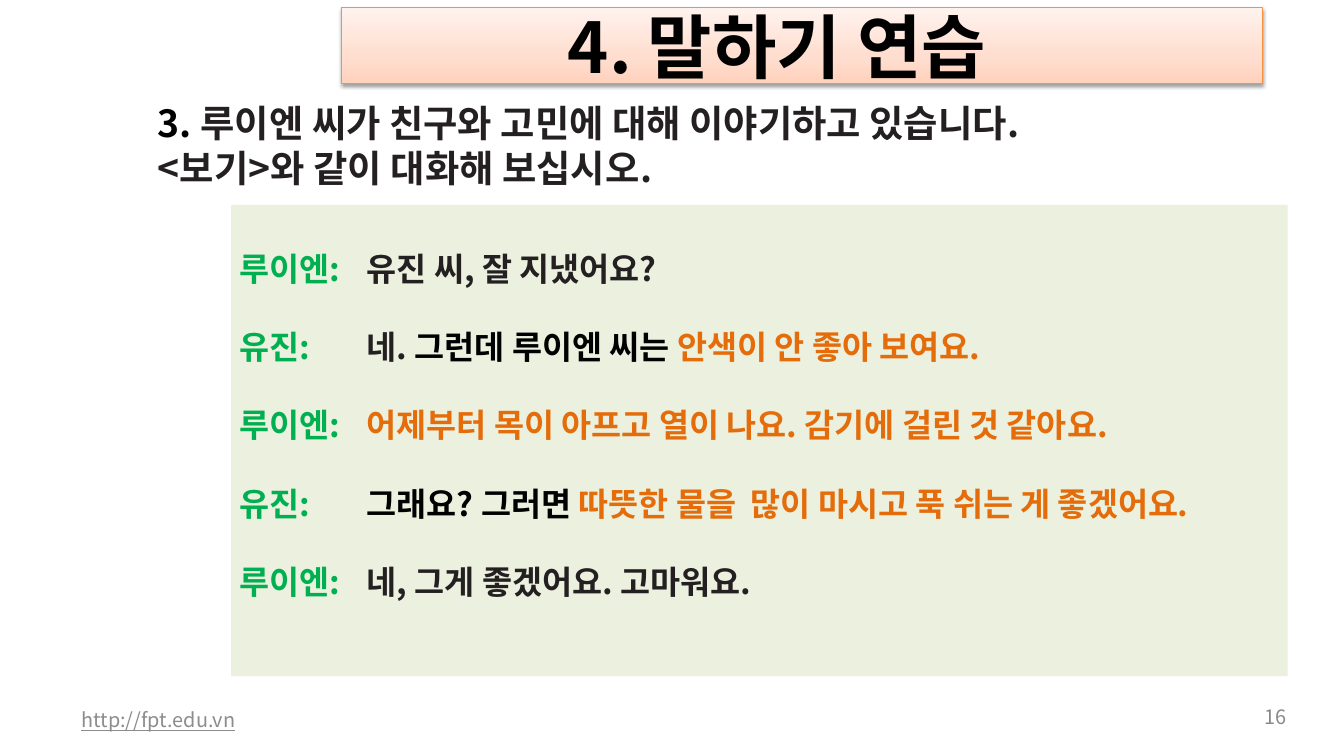
import copy
import pptx
import pptx.util
import pptx.dml.color
import pptx.enum.shapes
import pptx.enum.text
import pptx.oxml
import pptx.oxml.ns
from pptx.util import Inches

FONT = "Noto Sans CJK KR"
COLORS = {"black": "000000", "ink": "242021", "green": "00B050", "orange": "E46C0A",
          "panel": "EBF1DE", "link": "8C8C8C", "number": "898989", "border": "F69240"}
TITLE = "4. 말하기 연습"
TITLE_STOPS = [(0, "FFD2BD"), (0.35, "FFDED0"), (1, "FFF2ED")]
TASK = [
    [("3. ", "black"), ("루이엔 씨가 친구와 고민에 대해 이야기하고 있습니다.", "ink")],
    [("<보기>와 같이 대화해 보십시오.", "ink")],
]
DIALOGUE = [
    ("루이엔:", [("유진 씨, 잘 지냈어요?", "ink")]),
    ("유진:", [("네. ", "ink"), ("그런데 루이엔 씨는 ", "black"), ("안색이 안 좋아 보여요.", "orange")]),
    ("루이엔:", [("어제부터 목이 아프고 열이 나요. 감기에 걸린 것 같아요.", "orange")]),
    ("유진:", [("그래요? 그러면 ", "black"), ("따뜻한 물을  많이 마시고 푹 쉬는 게 좋겠어요.", "orange")]),
    ("루이엔:", [("네, 그게 좋겠어요. 고마워요.", "ink")]),
]
SPEECH_INDENT = 1.52
ALIGN = pptx.enum.text.PP_ALIGN
ANCHOR = pptx.enum.text.MSO_ANCHOR


def rgb(value):
    return pptx.dml.color.RGBColor.from_string(value)


def write(s, lines, size, bold=True, underline=False, align=ALIGN.LEFT, anchor=ANCHOR.TOP,
          insets=(0.1, 0.05, 0.1, 0.05), spacing=None, tab=None):
    tf = s.text_frame
    tf.word_wrap = True
    tf.vertical_anchor = anchor
    tf.margin_left, tf.margin_top, tf.margin_right, tf.margin_bottom = map(Inches, insets)
    for i, line in enumerate(lines):
        p = tf.add_paragraph() if i else tf.paragraphs[0]
        p.alignment = align
        if spacing:
            p.line_spacing = spacing
        if tab:
            stops = pptx.oxml.ns.qn("a:tabLst")
            stop = p._p.get_or_add_pPr().makeelement(stops, {})
            p._p.pPr.append(stop)
            stop.append(stop.makeelement(pptx.oxml.ns.qn("a:tab"),
                                         {"pos": str(int(Inches(tab))), "algn": "l"}))
        for text, color in line:
            r = p.add_run()
            r.text = text
            r.font.name = FONT
            r.font.size = pptx.util.Pt(size)
            r.font.bold = bold
            r.font.underline = underline
            r.font.color.rgb = rgb(COLORS[color])
            latin = r._r.rPr.find(pptx.oxml.ns.qn("a:latin"))
            latin.addnext(latin.makeelement(pptx.oxml.ns.qn("a:ea"), {"typeface": FONT}))


def add_box(slide, *at):
    return slide.shapes.add_textbox(*map(Inches, at))


def add_rect(slide, *at):
    s = slide.shapes.add_shape(pptx.enum.shapes.MSO_SHAPE.RECTANGLE, *map(Inches, at))
    s.shadow.inherit = False
    return s


def style_banner(s):
    s.fill.gradient()
    s.fill.gradient_angle = 90
    stops = s.fill._xPr.find(pptx.oxml.ns.qn("a:gradFill")).gsLst
    stops.append(copy.deepcopy(stops[-1]))
    for stop, (position, color) in zip(s.fill.gradient_stops, TITLE_STOPS):
        stop.position = position
        stop.color.rgb = rgb(color)
    s.line.color.rgb = rgb(COLORS["border"])
    s.line.width = pptx.util.Pt(0.75)
    effects = s._element.spPr.find(pptx.oxml.ns.qn("a:effectLst"))
    effects.append(pptx.oxml.parse_xml(
        f'<a:outerShdw {pptx.oxml.ns.nsdecls("a")} blurRad="40000" dist="20000" dir="5400000" '
        'rotWithShape="0"><a:srgbClr val="000000"><a:alpha val="38000"/></a:srgbClr></a:outerShdw>'))


def main():
    prs = pptx.Presentation()
    prs.slide_width, prs.slide_height = Inches(16), Inches(9)
    slide = prs.slides.add_slide(prs.slide_layouts[6])

    footer = dict(size=17, bold=False, anchor=ANCHOR.MIDDLE, insets=(0.14, 0.07, 0.14, 0.07))
    write(add_box(slide, 0.83, 8.33, 6.19, 0.48), [[("http://fpt.edu.vn", "link")]],
          underline=True, **footer)
    write(add_box(slide, 14.5, 8.33, 0.96, 0.41), [[("16", "number")]],
          align=ALIGN.RIGHT, **footer)

    banner = add_rect(slide, 4.07, 0.09, 10.96, 0.9)
    style_banner(banner)
    write(banner, [[(TITLE, "black")]], size=60, align=ALIGN.CENTER,
          anchor=ANCHOR.MIDDLE, insets=(0.1, 0.05, 0.7, 0.05))

    write(add_box(slide, 1.78, 1.14, 12.72, 1.18), TASK, size=32)

    panel = add_rect(slide, 2.75, 2.44, 12.58, 5.61)
    panel.fill.solid()
    panel.fill.fore_color.rgb = rgb(COLORS["panel"])
    panel.line.fill.background()
    lines = [[(speaker + "\t", "green")] + speech for speaker, speech in DIALOGUE]
    write(panel, lines, size=28, spacing=2, tab=SPEECH_INDENT)

    prs.save("out.pptx")


if __name__ == "__main__":
    main()
